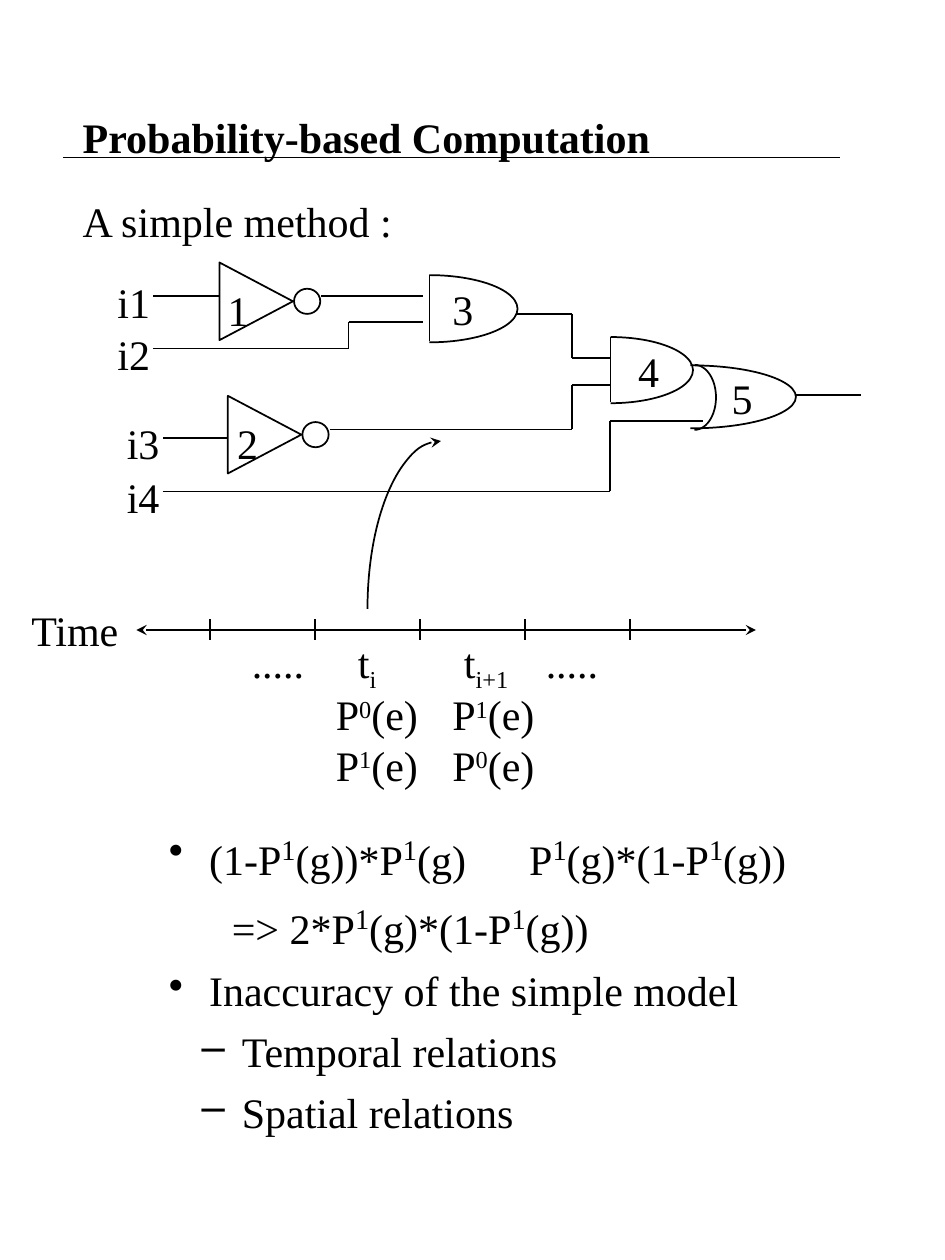
from pptx import Presentation
from pptx.dml.color import RGBColor
from pptx.enum.shapes import MSO_CONNECTOR, MSO_SHAPE
from pptx.enum.text import MSO_ANCHOR, MSO_AUTO_SIZE
from pptx.oxml.ns import qn
from pptx.util import Inches, Pt
from lxml.etree import SubElement

BLACK = RGBColor(0x00, 0x00, 0x00)
WHITE = RGBColor(0xFF, 0xFF, 0xFF)


def add_text(p, text, size=24, shift_size=24, shift=30, bold=False):
    """Write text into a paragraph, shifting the parts between bars."""
    for i, part in enumerate(text.split("|")):
        if not part:
            continue
        r = p.add_run()
        r.text = part
        r.font.name = "Times New Roman"
        r.font.size = Pt(shift_size if i % 2 else size)
        r.font.bold = bold
        r.font.color.rgb = BLACK
        if i % 2:
            r.font._element.set("baseline", str(shift * 1000))


class Board:
    """Draws black-on-white elements on a grid of 90 columns by 120 rows."""

    def __init__(self, prs):
        self.s = prs.slides.add_slide(prs.slide_layouts[6])
        self.col = prs.slide_width / 90
        self.row = prs.slide_height / 120

    def place(self, x, y, w, h):
        return [round(v * unit) for v, unit in
                zip((x, y, w, h), (self.col, self.row) * 2)]

    def text(self, x, y, w, h, *lines, wrap=False, anchor=MSO_ANCHOR.TOP, **style):
        tf = self.s.shapes.add_textbox(*self.place(x, y, w, h)).text_frame
        tf.word_wrap = wrap
        tf.auto_size = MSO_AUTO_SIZE.NONE if wrap else MSO_AUTO_SIZE.SHAPE_TO_FIT_TEXT
        tf.vertical_anchor = anchor
        for i, line in enumerate(lines):
            p = tf.add_paragraph() if i else tf.paragraphs[0]
            add_text(p, line, **style)
        return tf

    def bullet(self, p, char, margin, hang, tab=None):
        pPr = p._p.get_or_add_pPr()
        pPr.set("marL", str(Inches(margin)))
        pPr.set("indent", str(-Inches(hang)))
        if char:
            SubElement(pPr, qn("a:buChar"), char=char)
        if tab:
            tabs = SubElement(pPr, qn("a:tabLst"))
            SubElement(tabs, qn("a:tab"), pos=str(Inches(tab)), algn="l")

    def stroke(self, line, *ends):
        line.color.rgb = BLACK
        line.width = Pt(1)
        for end in ends:
            SubElement(line._get_or_add_ln(), qn("a:" + end), type="stealth")

    def wire(self, *points, ends=()):
        for (x1, y1), (x2, y2) in zip(points, points[1:]):
            c = self.s.shapes.add_connector(
                MSO_CONNECTOR.STRAIGHT, *self.place(x1, y1, x2, y2))
            self.stroke(c.line, *ends)
            SubElement(c._element.spPr, qn("a:effectLst"))

    def shape(self, kind, x, y, w, h, ends=()):
        sp = self.s.shapes.add_shape(kind, *self.place(x, y, w, h))
        self.stroke(sp.line, *ends)
        sp.shadow.inherit = False
        return sp

    def arc(self, x, y, w, h, start=162, end=54, ends=()):
        sp = self.shape(MSO_SHAPE.ARC, x, y, w, h, ends)
        sp.fill.background()
        sp.adjustments[0] = start
        sp.adjustments[1] = end

    def and_gate(self, x, y, w, h):
        self.arc(x, y, w, h)
        self.wire((x + w / 2, y), (x + w / 2, y + h - 0.1))

    def or_gate(self, x, y, w, h):
        self.arc(x, y, w, h)
        self.arc(x + 8.4, y - 0.05, 4.1, h + 0.2)

    def inverter(self, x, y):
        triangle = self.shape(MSO_SHAPE.ISOSCELES_TRIANGLE, x, y, 7.4, 7)
        triangle.rotation = 90
        for sp in (triangle, self.shape(MSO_SHAPE.OVAL, x + 7.3, y + 2.3, 2.5, 2.4)):
            sp.fill.solid()
            sp.fill.fore_color.rgb = WHITE
            color = sp._element.spPr.find(qn("a:solidFill"))[0]
            SubElement(color, qn("a:alpha"), val="50000")


def draw_circuit(b):
    """Draw the gates, their wires and their labels."""
    b.and_gate(50.3, 32.1, 15.7, 6.3)
    b.and_gate(32.5, 26.2, 16.8, 6.4)
    b.or_gate(55.7, 34.8, 20.1, 6)
    b.inverter(20.7, 25.2)
    b.inverter(21.5, 37.9)
    b.wire((20.9, 28.2), (14.6, 28.2))
    b.wire((30.6, 28.2), (40.3, 28.2))
    b.wire((14.6, 33.2), (33.2, 33.2), (33.2, 30.7), (40.3, 30.7))
    b.wire((49.2, 29.9), (54.5, 29.9), (54.5, 34.1), (58.1, 34.1))
    b.wire((21.7, 41.7), (15.5, 41.7))
    b.wire((31.4, 40.9), (54.5, 40.9), (54.5, 36.7), (58.1, 36.7))
    b.wire((15.5, 46.8), (58.1, 46.8), (58.1, 40.1), (67, 40.1))
    b.wire((75.7, 37.6), (82, 37.6))
    gates = [(20.5, 26.5), (21.4, 39.2), (41.9, 26.4), (59.6, 32.3), (68.5, 34.9)]
    for i, (x, y) in enumerate(gates, 1):
        b.text(x, y, 4.4, 6, str(i))
    inputs = [(10, 25.7), (10, 30.7), (10.9, 39.2), (10.9, 44.3)]
    for i, (x, y) in enumerate(inputs, 1):
        b.text(x, y, 5.5, 6, f"i{i}")


def draw_timeline(b):
    """Draw the time axis with its ticks and probabilities."""
    b.wire((13, 60), (72, 60), ends=("headEnd", "tailEnd"))
    for x in range(20, 61, 10):
        b.wire((x, 59), (x, 61))
    b.text(1.8, 57, 10.9, 6, "Time")
    b.arc(35, 42, 14, 32, 108, 162, ends=("tailEnd",))
    b.text(32.9, 60, 4.2, 6.7, "t|i|", shift=-25)
    b.text(43, 60, 6.6, 6.7, "t|i+1|", shift=-25)
    b.text(30.8, 65, 10.2, 10.8, "P|0|(e)", "P|1|(e)")
    b.text(41.9, 65, 10.2, 10.8, "P|1|(e)", "P|0|(e)")
    for x in (22.8, 50.8):
        b.text(x, 60, 7.4, 6, ".....")


def draw_notes(b):
    """Write the bulleted conclusions."""
    notes = [
        ("(1-P|1|(g))*P|1|(g)\tP|1|(g)*(1-P|1|(g))", "•", 0.32, 0.32, 2.86),
        ("=> 2*P|1|(g)*(1-P|1|(g))", None, 0.5, 0),
        ("Inaccuracy of the simple model", "•", 0.32, 0.32),
        ("Temporal relations", "–", 0.58, 0.32),
        ("Spatial relations", "–", 0.58, 0.32),
    ]
    tf = b.text(14.9, 78.1, 62.2, 30.8, *[n[0] for n in notes], wrap=True, shift_size=28)
    for i, (p, note) in enumerate(zip(tf.paragraphs, notes)):
        b.bullet(p, *note[1:])
        p.level = int(note[1] == "–")
        if i:
            p.space_before = Pt(6)


def main():
    """Build the slide and save it."""
    prs = Presentation()
    prs.slide_width, prs.slide_height = Inches(7.5), Inches(10)
    b = Board(prs)
    b.text(6.7, 6, 76.4, 14, "Probability-based Computation",
           wrap=True, anchor=MSO_ANCHOR.MIDDLE, bold=True)
    b.text(6.7, 18, 76.4, 88.7, "A simple method :", wrap=True)
    b.wire((6, 15), (80, 15))
    draw_circuit(b)
    draw_timeline(b)
    draw_notes(b)
    prs.save("out.pptx")


if __name__ == "__main__":
    main()
